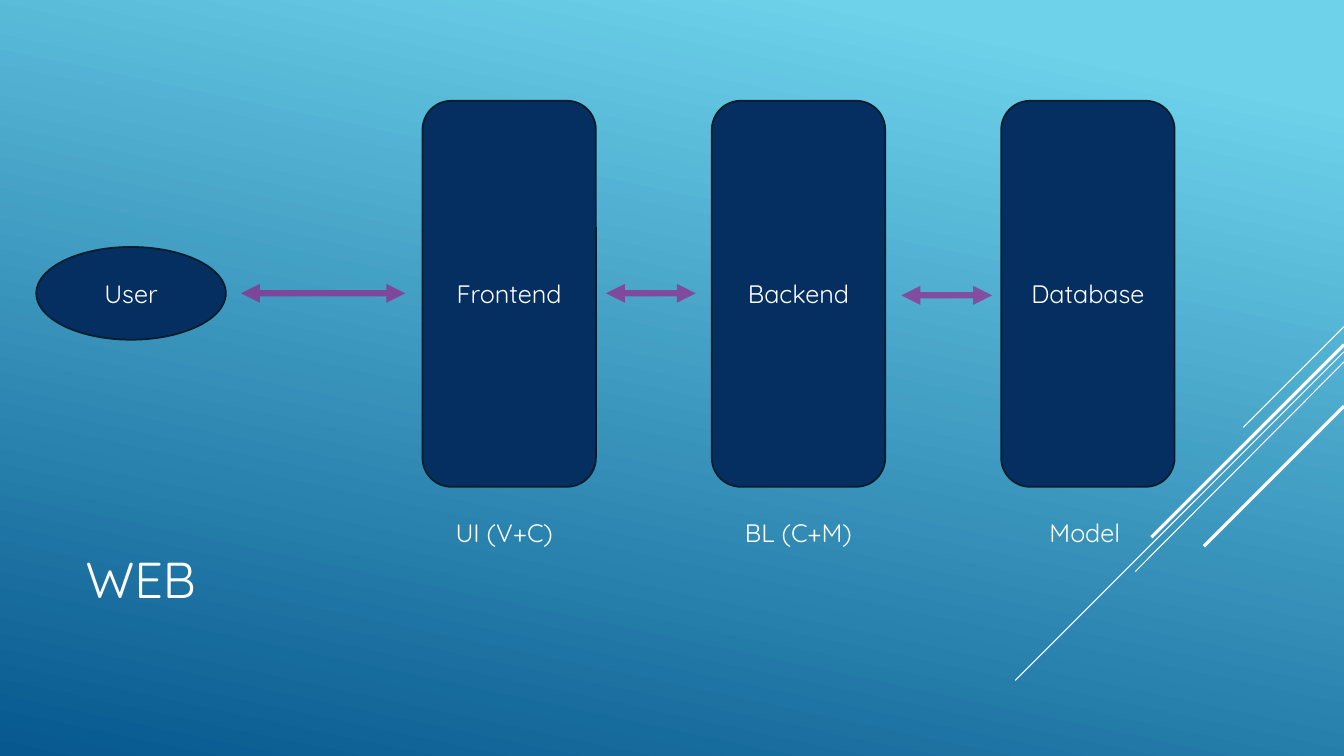
from lxml import etree
from pptx import Presentation
from pptx.dml.color import RGBColor
from pptx.enum import shapes, text
from pptx.oxml import ns
from pptx.util import Inches, Pt

WHITE = RGBColor(0xFF, 0xFF, 0xFF)
NAVY = RGBColor(0x05, 0x2F, 0x61)
EDGE = RGBColor(0x02, 0x1E, 0x2B)
PURPLE = RGBColor(0xA5, 0x0E, 0x82)
SKY = RGBColor(0x6E, 0xD2, 0xEB)
DEEP = RGBColor(0x06, 0x58, 0x8E)
FONT = "Quicksand"

# x1, y1, x2, y2, width
RAYS = [
    (13.33, 3.24, 12.33, 4.24, 0.75),
    (13.33, 3.49, 10.07, 6.75, 0.75),
    (13.33, 3.59, 11.26, 5.67, 0.75),
    (13.33, 3.42, 11.42, 5.33, 2.25),
    (13.33, 4.03, 11.94, 5.42, 2.25),
]
# name, caption, caption left, caption width
TIERS = [
    ("Frontend", "UI (V+C)", 4.42, 1.27),
    ("Backend", "BL (C+M)", 7.29, 1.49),
    ("Database", "Model", 10.31, 1.15),
]
# right end, left end, height on slide
ARROWS = [(4.02, 2.39, 2.91), (6.9, 6.01, 2.91), (9.84, 8.94, 2.93)]


def paint(slide):
    """Fill the background with the blue gradient."""
    fill = slide.background.fill
    fill.gradient()
    fill.gradient_angle = 258
    for stop, place, color in zip(fill.gradient_stops, (0.1, 1), (SKY, DEEP)):
        stop.position = place
        stop.color.rgb = color


def write(shape, words, size=18, align=text.PP_ALIGN.LEFT,
          anchor=text.MSO_ANCHOR.MIDDLE):
    frame = shape.text_frame
    frame.vertical_anchor = anchor
    para = frame.paragraphs[0]
    para.alignment = align
    run = para.add_run()
    run.text = words
    run.font.name = FONT
    run.font.size = Pt(size)
    run.font.color.rgb = WHITE


def add_node(slide, kind, words, left, top, width, height):
    node = slide.shapes.add_shape(
        kind, Inches(left), Inches(top), Inches(width), Inches(height))
    node.shadow.inherit = False
    node.fill.solid()
    node.fill.fore_color.rgb = NAVY
    node.line.color.rgb = EDGE
    node.line.width = Pt(1.25)
    write(node, words, align=text.PP_ALIGN.CENTER)


def add_label(slide, words, left, width):
    label = slide.shapes.add_textbox(
        Inches(left), Inches(5.08), Inches(width), Inches(0.4))
    label.text_frame.word_wrap = True
    label.text_frame.auto_size = text.MSO_AUTO_SIZE.SHAPE_TO_FIT_TEXT
    write(label, words, anchor=text.MSO_ANCHOR.TOP)


def add_line(slide, x1, y1, x2, y2, width, color=WHITE):
    line = slide.shapes.add_connector(
        shapes.MSO_CONNECTOR.STRAIGHT,
        Inches(x1), Inches(y1), Inches(x2), Inches(y2))
    line.line.color.rgb = color
    line.line.width = Pt(width)
    etree.SubElement(line._element.spPr, ns.qn("a:effectLst"))
    return line


def add_arrow(slide, right, left, y):
    """Draw a see-through line with a head at each end."""
    arrow = add_line(slide, right, y, left, y, 4.5, PURPLE)
    ln = arrow.line._get_or_add_ln()
    tint = ln.find(".//" + ns.qn("a:srgbClr"))
    etree.SubElement(tint, ns.qn("a:alpha"), val="60000")
    for end in ("a:headEnd", "a:tailEnd"):
        etree.SubElement(ln, ns.qn(end), type="triangle")


def add_title(slide, words):
    title = slide.shapes.title
    title.left, title.top = Inches(0.75), Inches(4.91)
    title.width, title.height = Inches(9.33), Inches(1.65)
    write(title, words, size=36)


def main():
    deck = Presentation()
    deck.slide_width, deck.slide_height = Inches(13.33), Inches(7.5)
    slide = deck.slides.add_slide(deck.slide_layouts[5])
    paint(slide)
    for ray in RAYS:
        add_line(slide, *ray)
    add_title(slide, "WEB")
    kinds = shapes.MSO_SHAPE
    for i, (name, note, left, width) in enumerate(TIERS):
        add_node(slide, kinds.ROUNDED_RECTANGLE, name,
                 4.19 + 2.87 * i, 1, 1.72, 3.83)
        add_label(slide, note, left, width)
    add_node(slide, kinds.OVAL, "User", 0.36, 2.45, 1.88, 0.92)
    for arrow in ARROWS:
        add_arrow(slide, *arrow)
    deck.save("out.pptx")


if __name__ == "__main__":
    main()
